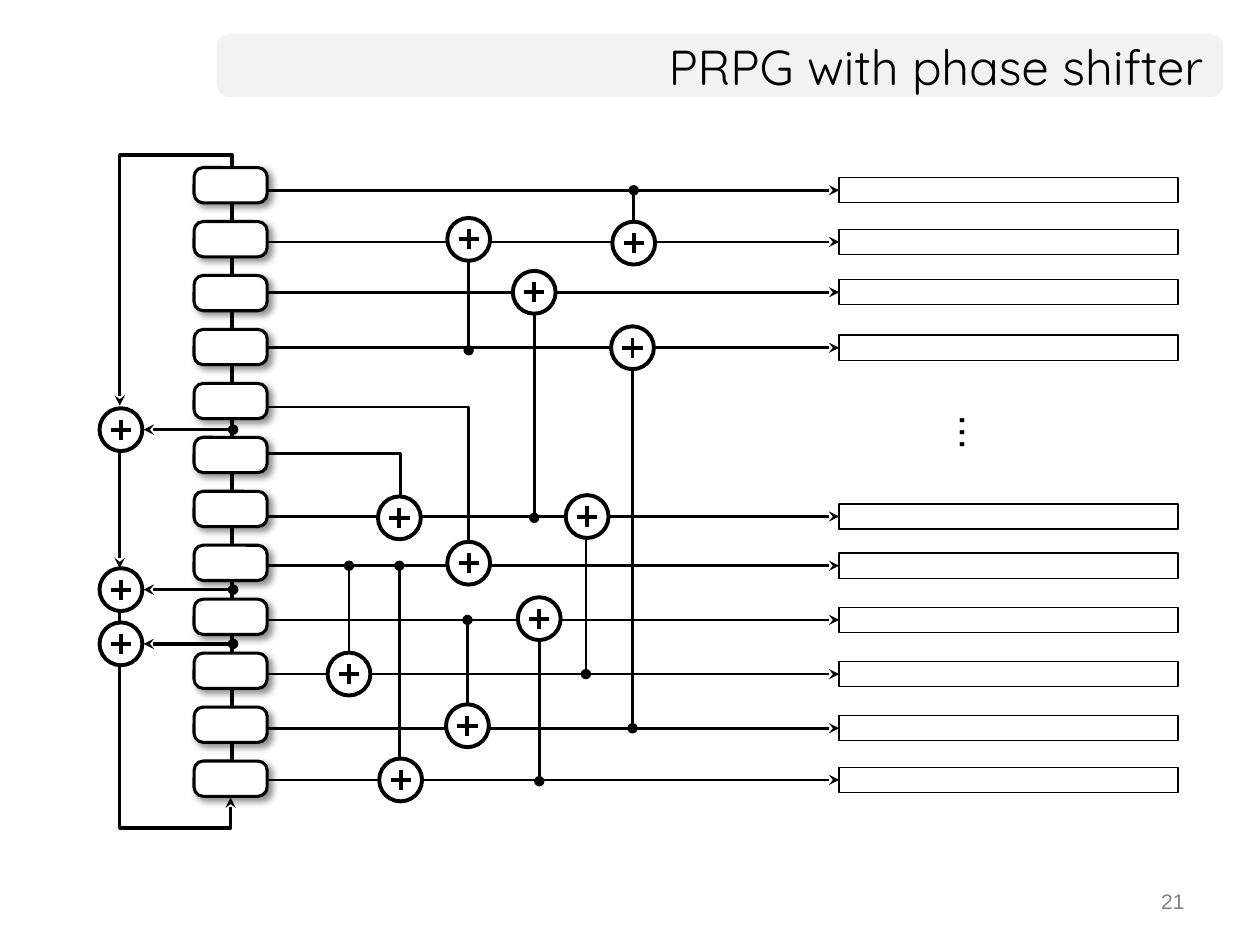
"""Build a slide showing a pseudo-random pattern generator with a phase shifter."""
import pptx
import pptx.dml.color
import pptx.enum.shapes
import pptx.enum.text
import pptx.oxml
import pptx.oxml.ns
import pptx.util
from dataclasses import dataclass
from pptx.util import Inches


@dataclass(frozen=True)
class Theme:
    ink: str = "000000"
    paper: str = "FFFFFF"
    band: str = "F2F2F2"
    muted: str = "808080"
    title_font: str = "Quicksand"
    body_font: str = "Arial"
    title_size: float = 28
    dots_size: float = 24
    number_size: float = 12
    chain_width: float = 0.75
    wire_width: float = 1.5
    cell_width: float = 1.75
    feedback_width: float = 2
    gate_width: float = 2.25


theme = Theme()
color = pptx.dml.color.RGBColor.from_string
kinds = pptx.enum.shapes.MSO_SHAPE
align = pptx.enum.text.PP_ALIGN
middle = pptx.enum.text.MSO_ANCHOR.MIDDLE
namespace = pptx.oxml.ns.nsdecls("a")

presentation = pptx.Presentation()
presentation.slide_width = Inches(10)
presentation.slide_height = Inches(7.5)
slide = presentation.slides.add_slide(presentation.slide_layouts[5])
shapes = slide.shapes


def add_block(kind, left, top, width, height, fill=None, line_width=None):
    shape = shapes.add_shape(kind, Inches(left), Inches(top), Inches(width), Inches(height))
    shape.shadow.inherit = False
    if fill:
        shape.fill.solid()
        shape.fill.fore_color.rgb = color(fill)
    else:
        shape.fill.background()
    if line_width:
        shape.line.color.rgb = color(theme.ink)
        shape.line.width = pptx.util.Pt(line_width)
    else:
        shape.line.fill.background()
    return shape


def add_wire(points, width, head=None, tail=None):
    corners = [(Inches(x), Inches(y)) for x, y in points]
    if len(corners) == 2:
        wire = shapes.add_connector(pptx.enum.shapes.MSO_CONNECTOR.STRAIGHT, *corners[0], *corners[1])
    else:
        builder = shapes.build_freeform(*corners[0], scale=1.0)
        builder.add_line_segments(corners[1:], close=False)
        wire = builder.convert_to_shape()
        wire.fill.background()
    wire.line.color.rgb = color(theme.ink)
    wire.line.width = pptx.util.Pt(width)
    line = wire.line._get_or_add_ln()
    for name, kind in (("headEnd", head), ("tailEnd", tail)):
        if kind:
            line.append(pptx.oxml.parse_xml(f'<a:{name} {namespace} type="{kind}"/>'))
    wire.element.spPr.append(pptx.oxml.parse_xml(f"<a:effectLst {namespace}/>"))
    return wire


title = shapes.title
title.left, title.top, title.width, title.height = Inches(1.72), Inches(0.27), Inches(7.93), Inches(0.5)
band = add_block(kinds.ROUNDED_RECTANGLE, 1.72, 0.27, 7.99, 0.5, theme.band)
band.adjustments[0] = 0.21
title.element.addprevious(band.element)
number = shapes.add_textbox(Inches(7.17), Inches(7), Inches(2.33), Inches(0.35))
dots = shapes.add_textbox(Inches(7.28), Inches(3.18), Inches(0.48), Inches(0.5))
dots.rotation = 270

for box, text, font, size, ink, alignment, anchor, wrap in (
    (title, "PRPG with phase shifter", theme.title_font, theme.title_size, theme.ink, align.RIGHT, middle, True),
    (number, "21", theme.body_font, theme.number_size, theme.muted, align.RIGHT, None, True),
    (dots, "...", theme.body_font, theme.dots_size, theme.ink, align.LEFT, middle, False),
):
    frame = box.text_frame
    frame.text = text
    frame.word_wrap = wrap
    frame.auto_size = pptx.enum.text.MSO_AUTO_SIZE.NONE
    frame.vertical_anchor = anchor
    paragraph = frame.paragraphs[0]
    paragraph.alignment = alignment
    run = paragraph.runs[0]
    run.font.name = font
    run.font.size = pptx.util.Pt(size)
    run.font.color.rgb = color(ink)

for y in (1.51, 1.92, 2.32, 2.76, 4.1, 4.49, 4.92, 5.35, 5.78, 6.19):
    chain = add_block(kinds.RECTANGLE, 6.66, y - 0.1, 2.69, 0.2, line_width=theme.chain_width)
    wire = add_wire([(1.83, y), (6.66, y)], theme.wire_width, tail="stealth")
    wire.end_connect(chain, 1)

for x, gate_y, left_y in ((3.72, 4.39, 3.23), (3.18, 4.1, 3.6)):
    add_wire([(1.83, left_y), (x, left_y), (x, gate_y)], theme.wire_width)

for x, tap_y, gate_y in (
    (2.77, 4.49, 5.35), (3.17, 4.49, 6.19), (3.71, 4.92, 5.76), (3.72, 2.78, 1.9),
    (4.24, 4.11, 2.32), (4.28, 6.2, 4.91), (4.65, 5.35, 4.1), (5.02, 5.78, 2.76), (5.03, 1.51, 1.93),
):
    add_wire([(x, tap_y), (x, gate_y)], theme.wire_width, head="oval")

add_wire([(1.84, 6.23), (1.84, 1.23), (0.95, 1.23), (0.95, 3.22)], theme.feedback_width, "oval", "stealth")
add_wire([(0.95, 3.41), (0.95, 4.51)], theme.feedback_width, tail="stealth")
add_wire([(0.95, 4.68), (0.95, 6.57), (1.83, 6.57), (1.83, 6.33)], theme.feedback_width, tail="stealth")
feedback_gates = [(0.96, 3.41), (0.96, 4.68), (0.96, 5.11)]
for x, y in feedback_gates:
    add_wire([(1.85, y), (1.14, y)], theme.feedback_width, "oval", "stealth")

shifter_gates = [
    (3.72, 1.9), (5.03, 1.93), (4.24, 2.32), (5.02, 2.76), (3.17, 4.11), (4.66, 4.1),
    (3.72, 4.47), (4.28, 4.91), (2.77, 5.35), (3.71, 5.76), (3.18, 6.19),
]
gate_radius, plus_arm = 0.17, 0.08
for x, y in feedback_gates + shifter_gates:
    add_block(kinds.OVAL, x - gate_radius, y - gate_radius, 2 * gate_radius, 2 * gate_radius,
              theme.paper, theme.gate_width)
    add_wire([(x - plus_arm, y), (x + plus_arm, y)], theme.gate_width)
    add_wire([(x, y - plus_arm), (x, y + plus_arm)], theme.gate_width)

cell_count, first_top, last_top = 12, 1.33, 6.04
for index in range(cell_count):
    top = first_top + index * (last_top - first_top) / (cell_count - 1)
    cell = add_block(kinds.ROUNDED_RECTANGLE, 1.54, top, 0.58, 0.28, theme.paper, theme.cell_width)
    cell.adjustments[0] = 0.26
    cell.element.spPr.find(pptx.oxml.ns.qn("a:effectLst")).append(pptx.oxml.parse_xml(
        f'<a:outerShdw {namespace} blurRad="50800" dist="38100" dir="2700000" algn="tl" rotWithShape="0">'
        f'<a:srgbClr val="{theme.ink}"><a:alpha val="43000"/></a:srgbClr></a:outerShdw>'))

presentation.save("out.pptx")
